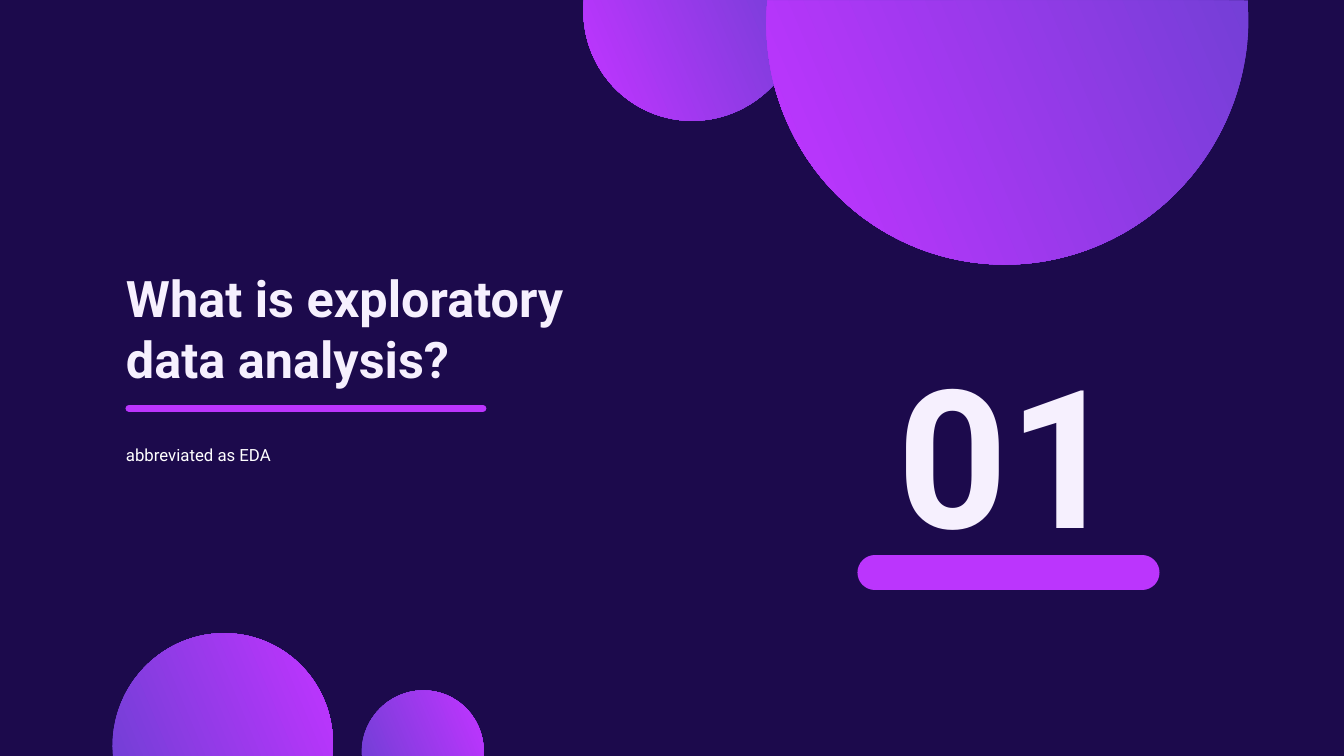
"""Build the section slide that introduces exploratory data analysis."""
from dataclasses import dataclass

from lxml.etree import SubElement
from pptx import Presentation
from pptx.dml.color import RGBColor
from pptx.enum.shapes import MSO_CONNECTOR, MSO_SHAPE
from pptx.enum.text import MSO_ANCHOR, MSO_AUTO_SIZE, PP_ALIGN
from pptx.oxml.ns import qn
from pptx.shapes.autoshape import Shape
from pptx.slide import Slide
from pptx.util import Cm, Pt


@dataclass(frozen=True)
class Theme:
    font: str = "Roboto"
    background: RGBColor = RGBColor(0x1C, 0x0A, 0x4C)
    violet: RGBColor = RGBColor(0x73, 0x3F, 0xD6)
    magenta: RGBColor = RGBColor(0xBB, 0x35, 0xFD)
    heading: RGBColor = RGBColor(0xF6, 0xF0, 0xFE)
    white: RGBColor = RGBColor(0xFF, 0xFF, 0xFF)
    number_size: int = 138
    title_size: int = 36
    body_size: int = 12


@dataclass(frozen=True)
class Bubble:
    left: float
    top: float
    width: float
    height: float
    rotation: float
    chord: tuple[float, float]


@dataclass(frozen=True)
class Bar:
    start: float
    end: float
    top: float
    weight: int


@dataclass(frozen=True)
class Label:
    text: str
    left: float
    top: float
    width: float
    height: float
    size: int
    color: RGBColor
    bold: bool
    anchor: MSO_ANCHOR
    align: PP_ALIGN = PP_ALIGN.LEFT


THEME = Theme()
HANGING, RISING = 292.1, 112.3

BUBBLES = [
    Bubble(9.09, 17.42, 3.12, 3.07, RISING, (38.37, 151.18)),
    Bubble(14.66, -2.54, 5.64, 5.54, HANGING, (37.86, 151.61)),
    Bubble(19.23, -5.54, 12.32, 12.12, HANGING, (37.86, 151.61)),
    Bubble(2.79, 16, 5.64, 5.54, RISING, (37.03, 152.06)),
]
BARS = [Bar(28.78, 22.05, 14.43, 25), Bar(12.17, 3.25, 10.29, 5)]

TITLE = Label("What is exploratory\ndata analysis?", 2.92, 6.58, 14.05, 3.33,
              THEME.title_size, THEME.heading, True, MSO_ANCHOR.BOTTOM)
BODY = Label("abbreviated as EDA", 2.92, 11.07, 14.05, 0.76,
             THEME.body_size, THEME.white, False, MSO_ANCHOR.TOP)
NUMBER = Label("01", 20.62, 8.26, 9.58, 6.15,
               THEME.number_size, THEME.heading, True, MSO_ANCHOR.BOTTOM, PP_ALIGN.CENTER)


def draw_bubble(page: Slide, bubble: Bubble) -> None:
    """Draw a cut circle with a violet to magenta gradient."""
    shape = page.shapes.add_shape(MSO_SHAPE.CHORD, Cm(bubble.left), Cm(bubble.top),
                                  Cm(bubble.width), Cm(bubble.height))
    shape.rotation = bubble.rotation
    shape.adjustments[0], shape.adjustments[1] = bubble.chord
    shape.shadow.inherit = False
    shape.line.fill.background()
    shape.fill.gradient()
    shape.fill.gradient_angle = 135
    colors = [(0.21, THEME.violet), (0.82, THEME.magenta)]
    for stop, (position, color) in zip(shape.fill.gradient_stops, colors):
        stop.position = position
        stop.color.rgb = color


def draw_bar(page: Slide, bar: Bar) -> None:
    """Draw a thick horizontal line with round ends."""
    connector = page.shapes.add_connector(MSO_CONNECTOR.STRAIGHT, Cm(bar.start), Cm(bar.top),
                                          Cm(bar.end), Cm(bar.top))
    connector.line.color.rgb = THEME.magenta
    connector.line.width = Pt(bar.weight)
    connector.line._get_or_add_ln().set("cap", "rnd")
    SubElement(connector._element.spPr, qn("a:effectLst"))


def write_label(box: Shape, label: Label) -> None:
    """Place a text shape and format its words."""
    box.left, box.top = Cm(label.left), Cm(label.top)
    box.width, box.height = Cm(label.width), Cm(label.height)
    frame = box.text_frame
    frame.text = label.text
    frame.word_wrap = True
    frame.auto_size = MSO_AUTO_SIZE.SHAPE_TO_FIT_TEXT
    frame.vertical_anchor = label.anchor
    for para in frame.paragraphs:
        para.alignment = label.align
        para.space_before = Pt(0)
        for span in para.runs:
            span.font.name = THEME.font
            span.font.size = Pt(label.size)
            span.font.bold = label.bold
            span.font.color.rgb = label.color


def main() -> None:
    """Build and save the deck."""
    deck = Presentation()
    deck.slide_width, deck.slide_height = Cm(33.87), Cm(19.05)
    page = deck.slides.add_slide(deck.slide_layouts[0])
    page.background.fill.solid()
    page.background.fill.fore_color.rgb = THEME.background
    write_label(page.shapes.title, TITLE)
    write_label(page.placeholders[1], BODY)
    write_label(page.shapes.add_textbox(0, 0, 0, 0), NUMBER)
    for bar in BARS:
        draw_bar(page, bar)
    for bubble in BUBBLES:
        draw_bubble(page, bubble)
    deck.save("out.pptx")


if __name__ == "__main__":
    main()
